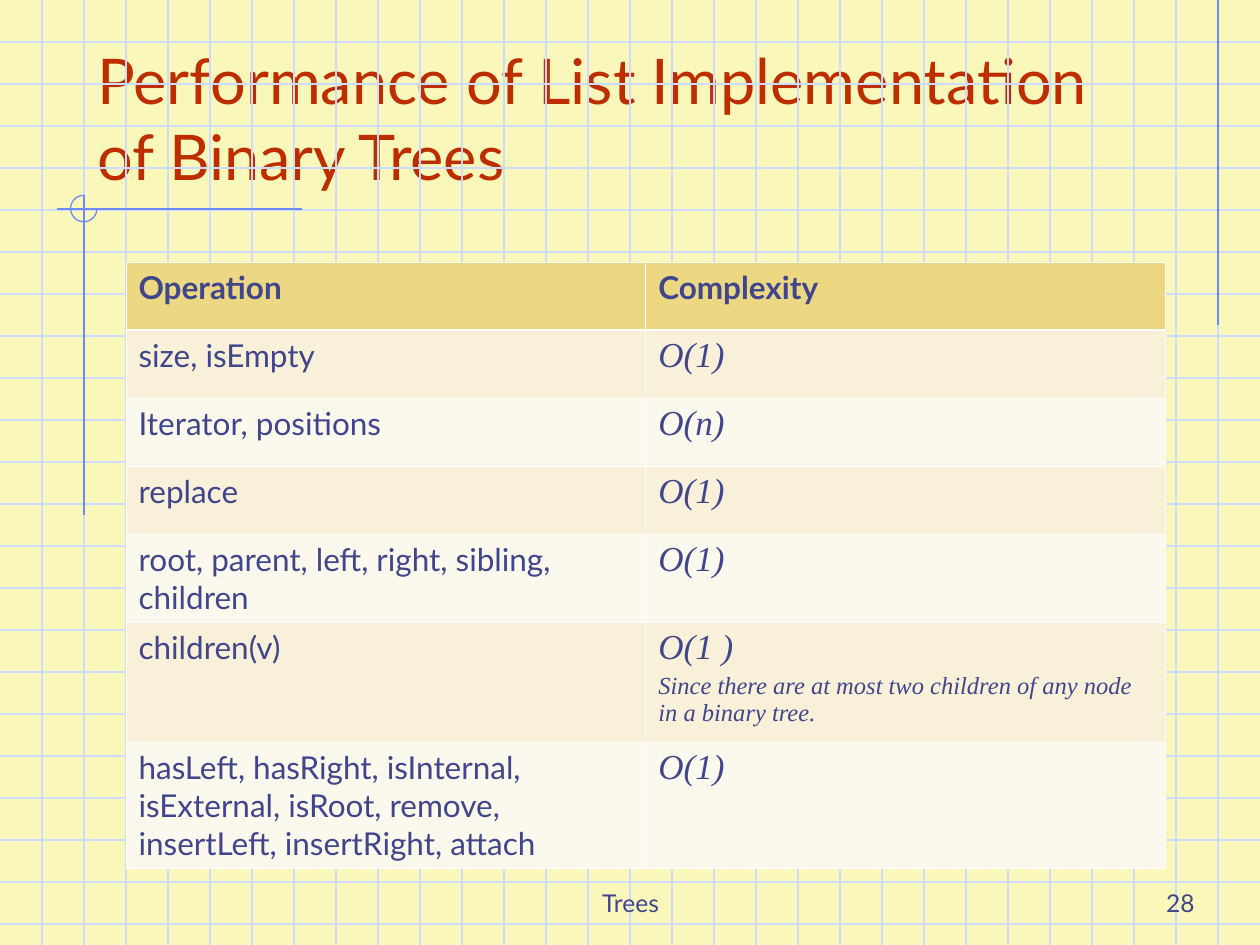
from lxml.etree import SubElement
from pptx import Presentation
from pptx.dml.color import RGBColor
from pptx.enum.shapes import MSO_CONNECTOR, MSO_SHAPE
from pptx.enum.text import MSO_ANCHOR, MSO_AUTO_SIZE, PP_ALIGN as Align
from pptx.oxml.ns import qn
from pptx.util import Inches, Pt

WIDTH, HEIGHT = 10, 7.5
SQUARE = 1 / 3
PAPER, GRID, ACCENT = "F9F8BA", "CFDBFD", "6F89F7"
INK, TITLE_RED, HEADER_GOLD = "40458C", "BE2D00", "ECD882"
BANDS = ["F8F0D8", "FBF8ED"]
SANS, SERIF = "Lato", "Times New Roman"
ROW_HEIGHTS = [0.54, 0.54, 0.54, 0.54, 0.7, 0.95, 1]
OPERATIONS = [
    ("size, isEmpty", ["O(1)"]),
    ("Iterator, positions", ["O(n)"]),
    ("replace", ["O(1)"]),
    ("root, parent, left, right, sibling, children", ["O(1)"]),
    ("children(v)", ["O(1 )", "Since there are at most two children of any node in a binary tree."]),
    ("hasLeft, hasRight, isInternal, isExternal, isRoot, remove, insertLeft, insertRight, attach", ["O(1)"]),
]


def color(hex_code):
    """Turn a hex string into a color."""
    return RGBColor.from_string(hex_code)


def style(paragraph, size, face=SANS, hue=INK, bold=False, italic=False):
    """Set the font of a whole paragraph."""
    font = paragraph.font
    font.size, font.name, font.bold, font.italic = Pt(size), face, bold, italic
    font.color.rgb = color(hue)


def add_line(slide, x1, y1, x2, y2, hue):
    """Draw a thin straight line without a shadow."""
    line = slide.shapes.add_connector(MSO_CONNECTOR.STRAIGHT, *map(Inches, (x1, y1, x2, y2)))
    line.line.color.rgb = color(hue)
    line.line.width = Pt(0.75)
    SubElement(line._element.spPr, qn("a:effectLst"))


def add_graph_paper(slide):
    """Rule the slide into squares."""
    for row in range(1, int(HEIGHT / SQUARE) + 1):
        add_line(slide, 0, row * SQUARE, WIDTH, row * SQUARE, GRID)
    for column in range(1, round(WIDTH / SQUARE)):
        add_line(slide, column * SQUARE, 0, column * SQUARE, HEIGHT, GRID)


def add_accents(slide):
    """Draw the margin lines and the open circle where they cross."""
    add_line(slide, 29 * SQUARE, 0, 29 * SQUARE, 2.58, ACCENT)
    add_line(slide, 2.4, 1.66, 0.45, 1.66, ACCENT)
    add_line(slide, 2 * SQUARE, 1.55, 2 * SQUARE, 4.09, ACCENT)
    circle = slide.shapes.add_shape(MSO_SHAPE.ARC, *map(Inches, (0.56, 1.55, 0.21, 0.21)))
    circle.adjustments[0], circle.adjustments[1] = 0, 162
    circle.shadow.inherit = False
    circle.fill.background()
    circle.line.color.rgb = color(ACCENT)
    circle.line.width = Pt(0.75)


def add_title(slide, wording):
    """Place and format the title placeholder."""
    title = slide.shapes.title
    title.left, title.top, title.width, title.height = map(Inches, (0.67, 0.33, 8.5, 1.25))
    frame = title.text_frame
    frame.text = wording
    frame.word_wrap = True
    frame.auto_size = MSO_AUTO_SIZE.NONE
    frame.vertical_anchor = MSO_ANCHOR.BOTTOM
    heading = frame.paragraphs[0]
    heading.alignment = Align.LEFT
    heading.line_spacing = 1.0
    style(heading, 36, hue=TITLE_RED)


def add_footer(slide, left, width, wording, alignment):
    """Add one small text at the foot of the slide."""
    frame = slide.shapes.add_textbox(*map(Inches, (left, 6.83, width, 0.5))).text_frame
    frame.word_wrap = True
    frame.vertical_anchor = MSO_ANCHOR.BOTTOM
    frame.text = wording
    frame.paragraphs[0].alignment = alignment
    style(frame.paragraphs[0], 14)


def format_cell(cell, fill, heavy_side=None):
    """Give a cell white borders, one of them heavy, and a fill."""
    properties = cell._tc.get_or_add_tcPr()
    for side in "LRTB":
        width = Pt(1.47 if side == heavy_side else 0.45)
        border = SubElement(properties, qn(f"a:ln{side}"), w=str(width))
        SubElement(SubElement(border, qn("a:solidFill")), qn("a:srgbClr"), val="FFFFFF")
    cell.fill.solid()
    cell.fill.fore_color.rgb = color(fill)


def add_operations_table(slide):
    """Add the table of operations and their complexity."""
    table = slide.shapes.add_table(len(ROW_HEIGHTS), 2, *map(Inches, (1, 2.08, 8.25, sum(ROW_HEIGHTS)))).table
    for row, height in zip(table.rows, ROW_HEIGHTS):
        row.height = Inches(height)
    for cell, heading in zip(table.rows[0].cells, ("Operation", "Complexity")):
        cell.text = heading
        style(cell.text_frame.paragraphs[0], 18, bold=True)
        format_cell(cell, HEADER_GOLD, "B")
    for index, (names, complexity) in enumerate(OPERATIONS):
        operation, bound = table.rows[index + 1].cells
        operation.text = names
        style(operation.text_frame.paragraphs[0], 18)
        bound.text = "\n".join(complexity)
        order, *remarks = bound.text_frame.paragraphs
        style(order, 20, SERIF, italic=True)
        for remark in remarks:
            style(remark, 14, SERIF, italic=True)
            remark.space_before = Pt(3)
        for cell in (operation, bound):
            format_cell(cell, BANDS[index % 2], "T" if index == 0 else None)


def main():
    """Build and save the slide."""
    deck = Presentation()
    deck.slide_width, deck.slide_height = Inches(WIDTH), Inches(HEIGHT)
    slide = deck.slides.add_slide(deck.slide_layouts[5])
    slide.background.fill.solid()
    slide.background.fill.fore_color.rgb = color(PAPER)
    add_graph_paper(slide)
    add_accents(slide)
    add_footer(slide, 3.42, 3.17, "Trees", Align.CENTER)
    add_footer(slide, 7.5, 2.08, "28", Align.RIGHT)
    add_title(slide, "Performance of List Implementation of Binary Trees")
    add_operations_table(slide)
    deck.save("out.pptx")


if __name__ == "__main__":
    main()
